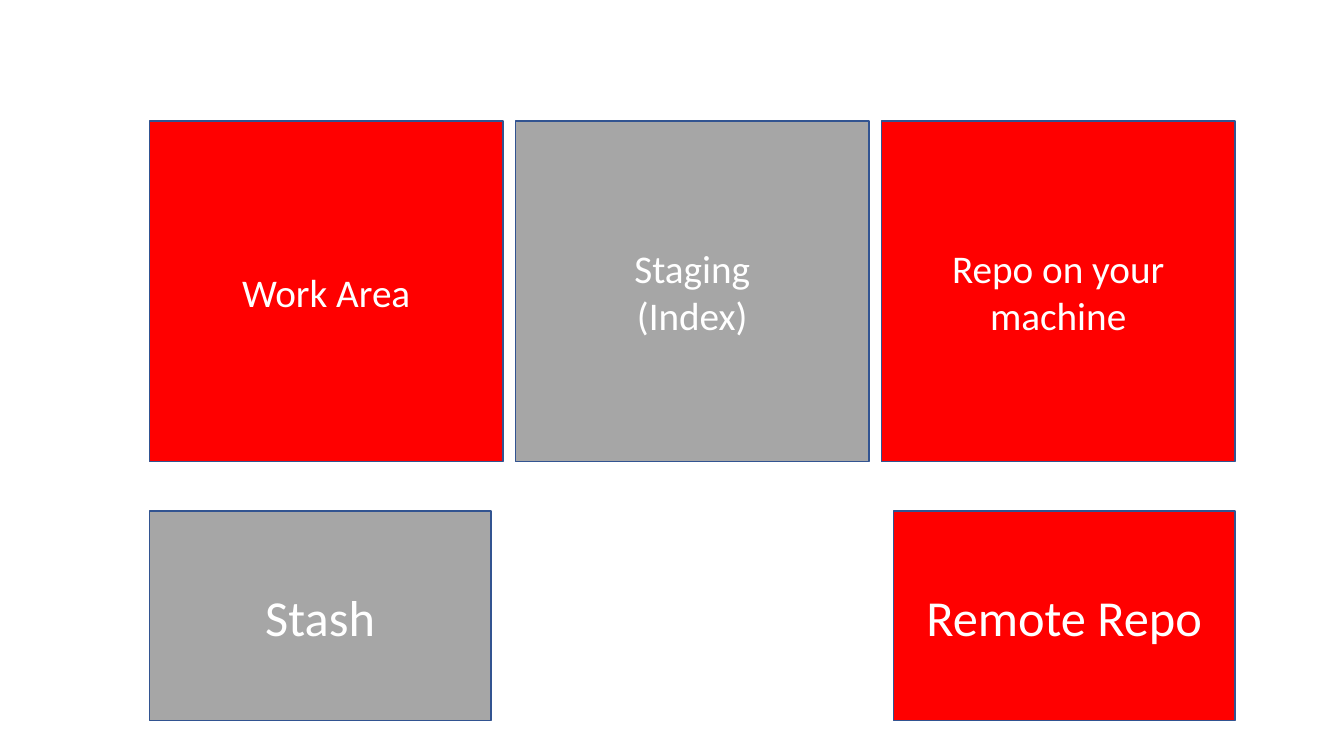
"""Build a slide that shows the areas in which version control keeps work."""
from pptx import Presentation, util as u
from pptx.dml.color import RGBColor
from pptx.enum import shapes, text

RED = RGBColor(0xFF, 0x00, 0x00)
GRAY = RGBColor(0xA6, 0xA6, 0xA6)
NAVY = RGBColor(0x32, 0x54, 0x91)
WHITE = RGBColor(0xFF, 0xFF, 0xFF)

PX = u.Inches(1) / 100
SLIDE_WIDTH, SLIDE_HEIGHT = 1333, 750
LEFT, RIGHT = 148, 1225

ROWS = [
    dict(top=120, width=351, height=338, size=28,
         areas=[("Work Area", RED), ("Staging\n(Index)", GRAY), ("Repo on your machine", RED)]),
    dict(top=507, width=339, height=208, size=36,
         areas=[("Stash", GRAY), ("Remote Repo", RED)]),
]


def px(length):
    """Turn px into EMU."""
    return u.Emu(round(length * PX))


def write(frame, wording, *, size, color=WHITE, font="Calibri"):
    """Put centred text into a frame, one paragraph per line."""
    frame.text = wording
    frame.word_wrap = True
    frame.vertical_anchor = text.MSO_ANCHOR.MIDDLE
    for line in frame.paragraphs:
        line.alignment = text.PP_ALIGN.CENTER
        for run in line.runs:
            run.font.name = font
            run.font.size = u.Pt(size)
            run.font.color.rgb = color


def add_area(slide, left, row, label, color):
    """Draw one labelled area."""
    area = slide.shapes.add_shape(
        shapes.MSO_SHAPE.RECTANGLE,
        px(left), px(row["top"]), px(row["width"]), px(row["height"]))
    area.shadow.inherit = False
    area.fill.solid()
    area.fill.fore_color.rgb = color
    area.line.color.rgb = NAVY
    area.line.width = u.Pt(1)
    write(area.text_frame, label, size=row["size"])


def main():
    """Lay the rows out between the shared side edges and save."""
    deck = Presentation()
    deck.slide_width, deck.slide_height = px(SLIDE_WIDTH), px(SLIDE_HEIGHT)
    slide = deck.slides.add_slide(deck.slide_layouts[6])
    for row in ROWS:
        step = (RIGHT - LEFT - row["width"]) / (len(row["areas"]) - 1)
        for column, (label, color) in enumerate(row["areas"]):
            add_area(slide, LEFT + column * step, row, label, color)
    deck.save("out.pptx")


if __name__ == "__main__":
    main()
